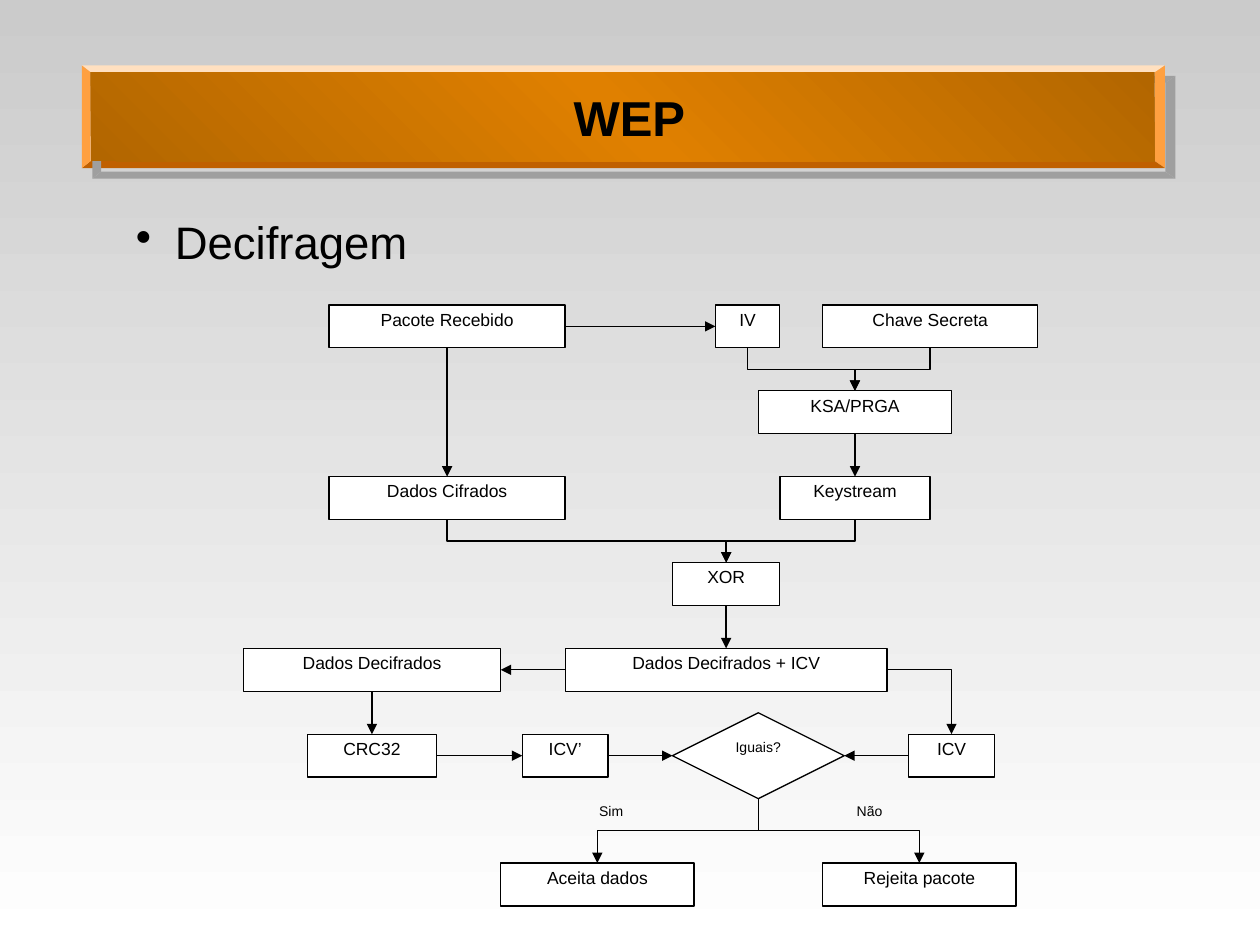
from copy import deepcopy

from lxml.etree import SubElement
from pptx import Presentation
from pptx.dml.color import RGBColor
from pptx.enum.shapes import MSO_CONNECTOR, MSO_SHAPE
from pptx.enum.text import MSO_ANCHOR, PP_ALIGN
from pptx.oxml.ns import qn
from pptx.util import Inches, Pt

WIDTH, HEIGHT = Inches(10), Inches(7.5)
UNIT = Inches(4.6) / 27
GRID_LEFT, GRID_TOP = Inches(1.93), Inches(2.42)
TOP, LEFT, BOTTOM, RIGHT = range(4)

BOXES = {
    "Pacote Recebido": (4, 0, 11),
    "IV": (22, 0, 3),
    "Chave Secreta": (27, 0, 10),
    "KSA/PRGA": (24, 4, 9),
    "Dados Cifrados": (4, 8, 11),
    "Keystream": (25, 8, 7),
    "XOR": (20, 12, 5),
    "Dados Decifrados": (0, 16, 12),
    "Dados Decifrados + ICV": (15, 16, 15),
    "CRC32": (3, 20, 6),
    "ICV’": (13, 20, 4),
    "ICV": (31, 20, 4),
    "Aceita dados": (12, 26, 9),
    "Rejeita pacote": (27, 26, 9),
}
STRAIGHT = [
    ("Pacote Recebido", RIGHT, "IV", LEFT),
    ("Pacote Recebido", BOTTOM, "Dados Cifrados", TOP),
    ("KSA/PRGA", BOTTOM, "Keystream", TOP),
    ("XOR", BOTTOM, "Dados Decifrados + ICV", TOP),
    ("Dados Decifrados + ICV", LEFT, "Dados Decifrados", RIGHT),
    ("Dados Decifrados", BOTTOM, "CRC32", TOP),
    ("CRC32", RIGHT, "ICV’", LEFT),
    ("ICV’", RIGHT, "Iguais?", LEFT),
    ("ICV", LEFT, "Iguais?", RIGHT),
]
STEPPED = [
    ("IV", "KSA/PRGA"),
    ("Chave Secreta", "KSA/PRGA"),
    ("Dados Cifrados", "XOR"),
    ("Keystream", "XOR"),
    ("Iguais?", "Aceita dados"),
    ("Iguais?", "Rejeita pacote"),
]


def rgb(value):
    """Turn a hex string into a colour."""
    return RGBColor.from_string(value)


def share(x, y):
    """Convert percentages of the slide's width and height to lengths."""
    return round(WIDTH * x / 100), round(HEIGHT * y / 100)


def cell(col, row, cols, rows):
    """Convert a grid area to left, top, width and height."""
    return (round(GRID_LEFT + col * UNIT), round(GRID_TOP + row * UNIT),
            round(cols * UNIT), round(rows * UNIT))


def set_gradient(owner, fill, angle, stops):
    """Fill with a linear gradient of (position, colour) stops."""
    fill.gradient()
    fill.gradient_angle = angle
    gs_list = next(owner.element.iter(qn("a:gsLst")))
    while len(gs_list) < len(stops):
        gs_list.append(deepcopy(gs_list[0]))
    for stop, (position, colour) in zip(fill.gradient_stops, stops):
        stop.position = position
        stop.color.rgb = rgb(colour)


def set_text(s, text, size, bold=False, anchor=MSO_ANCHOR.TOP, **paragraph):
    """Write one black paragraph with the given paragraph format."""
    tf = s.text_frame
    tf.word_wrap = True
    tf.vertical_anchor = anchor
    p = tf.paragraphs[0]
    for name, value in {"line_spacing": 0.9, **paragraph}.items():
        setattr(p, name, value)
    r = p.add_run()
    r.text = text
    for name, value in {"name": "Arial", "size": Pt(size), "bold": bold}.items():
        setattr(r.font, name, value)
    r.font.color.rgb = rgb("000000")
    return p


def add_label(slide, area, text, size, **options):
    """Add a text box and return its paragraph."""
    return set_text(slide.shapes.add_textbox(*area), text, size, **options)


def add_bullet(p):
    """Give a paragraph a hanging round bullet."""
    pPr = p._p.get_or_add_pPr()
    pPr.set("marL", str(Inches(0.31)))
    pPr.set("indent", str(-Inches(0.31)))
    SubElement(pPr, qn("a:buChar"), char="•")


def add_box(slide, kind, area, text, size):
    """Add a white outlined flowchart shape."""
    s = slide.shapes.add_shape(kind, *cell(*area))
    s.shadow.inherit = False
    s.fill.solid()
    s.fill.fore_color.rgb = rgb("FFFFFF")
    s.line.color.rgb = rgb("000000")
    s.line.width = Pt(0.75)
    set_text(s, text, size, alignment=PP_ALIGN.CENTER)
    return s


def add_arrow(slide, kind, start, start_side, end, end_side):
    """Join two shapes with an arrow."""
    s = slide.shapes.add_connector(kind, 0, 0, 0, 0)
    s.begin_connect(start, start_side)
    s.end_connect(end, end_side)
    s.line.color.rgb = rgb("000000")
    s.line.width = Pt(0.75)
    SubElement(s.line._get_or_add_ln(), qn("a:tailEnd"), type="triangle")
    SubElement(s._element.spPr, qn("a:effectLst"))
    return s


def add_stepped_arrow(slide, start, end):
    """Join a bottom to a top with an arrow that runs down, across, down."""
    s = add_arrow(slide, MSO_CONNECTOR.ELBOW, start, BOTTOM, end, TOP)
    rightward = s.end_x > s.begin_x
    mid_x, mid_y = s.left + s.width // 2, s.top + s.height // 2
    s.width, s.height = s.height, s.width
    s.left, s.top = mid_x - s.width // 2, mid_y - s.height // 2
    xfrm = s._element.spPr.xfrm
    xfrm.set("rot", str((270 if rightward else 90) * 60000))
    xfrm.set("flipH", str(int(rightward)))


def add_bevel_side(slide, points, colour):
    """Add one shadowed side of the title frame."""
    builder = slide.shapes.build_freeform(*points[0], scale=1)
    builder.add_line_segments(points[1:], close=True)
    s = builder.convert_to_shape()
    s.fill.solid()
    s.fill.fore_color.rgb = rgb(colour)
    s.line.fill.background()
    s.shadow.inherit = False
    effects = s._element.spPr.find(qn("a:effectLst"))
    shadow = SubElement(effects, qn("a:outerShdw"), dist=str(Pt(8.5)), dir=str(45 * 60000))
    SubElement(shadow, qn("a:srgbClr"), val="9F9F9F")


def corners(left, top, right, bottom):
    """List the corners of a rectangle clockwise from the top left."""
    return [share(*xy) for xy in ((left, top), (right, top), (right, bottom), (left, bottom))]


def add_banner(slide):
    """Add the bevelled title bar."""
    outer = corners(6.5, 6.93, 92.45, 17.78)
    inner = corners(7.2, 7.65, 91.65, 17.05)
    for i, colour in enumerate(("FFE0C0", "FFA040", "C06000", "FFA040")):
        j = (i + 1) % 4
        add_bevel_side(slide, [outer[i], outer[j], inner[j], inner[i]], colour)
    (left, top), (right, bottom) = inner[0], inner[2]
    s = slide.shapes.add_shape(MSO_SHAPE.RECTANGLE, left, top, right - left, bottom - top)
    s.shadow.inherit = False
    s.line.fill.background()
    set_gradient(s, s.fill, 225, [(0, "B26600"), (0.5, "E08000"), (1, "B26600")])
    add_label(slide, share(10.8, 8.93) + share(78.3, 7.73), "WEP", 28, bold=True,
              anchor=MSO_ANCHOR.MIDDLE, alignment=PP_ALIGN.CENTER)


def add_flowchart(slide):
    """Add the decryption boxes, arrows and branch labels."""
    nodes = {text: add_box(slide, MSO_SHAPE.RECTANGLE, (col, row, cols, 2), text, 10)
             for text, (col, row, cols) in BOXES.items()}
    nodes["Iguais?"] = add_box(slide, MSO_SHAPE.DIAMOND, (20, 19, 8, 4), "Iguais?", 8)
    for start, start_side, end, end_side in STRAIGHT:
        add_arrow(slide, MSO_CONNECTOR.STRAIGHT, nodes[start], start_side, nodes[end], end_side)
    for start, end in STEPPED:
        add_stepped_arrow(slide, nodes[start], nodes[end])
    s = add_arrow(slide, MSO_CONNECTOR.ELBOW, nodes["Dados Decifrados + ICV"], RIGHT,
                  nodes["ICV"], TOP)
    s._element.spPr.find(qn("a:prstGeom")).set("prst", "bentConnector2")
    for text, col in (("Sim", 16), ("Não", 28)):
        add_label(slide, cell(col, 23, 4, 2), text, 8)


def main():
    """Build and save the slide."""
    prs = Presentation()
    prs.slide_width, prs.slide_height = WIDTH, HEIGHT
    slide = prs.slides.add_slide(prs.slide_layouts[6])
    set_gradient(slide, slide.background.fill, 270, [(0, "CBCBCB"), (1, "FFFFFF")])
    add_banner(slide)
    add_bullet(add_label(slide, share(9.8, 22.67) + share(80.6, 51.87), "Decifragem", 26,
                         space_before=Pt(9.8)))
    add_flowchart(slide)
    prs.save("out.pptx")


if __name__ == "__main__":
    main()
